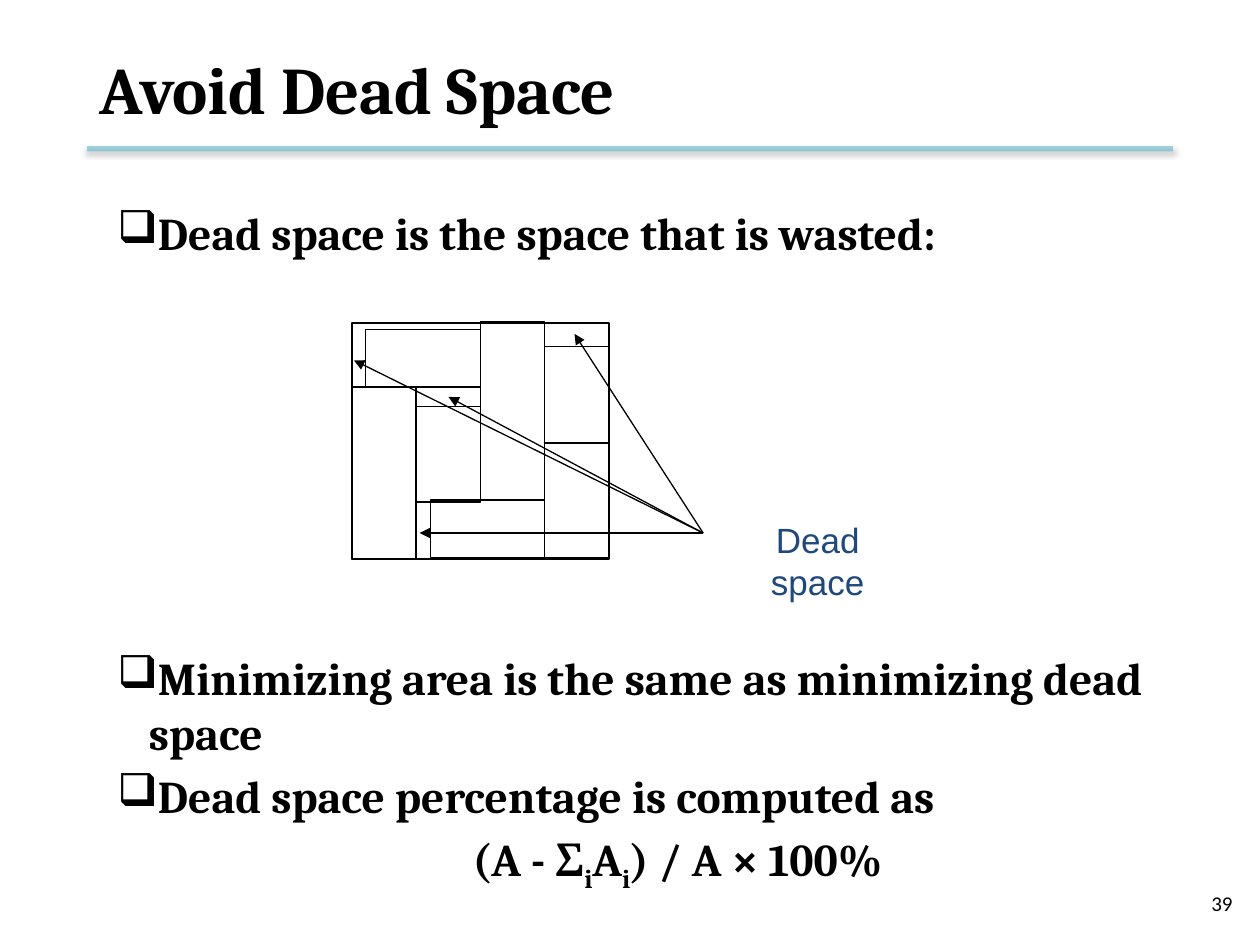
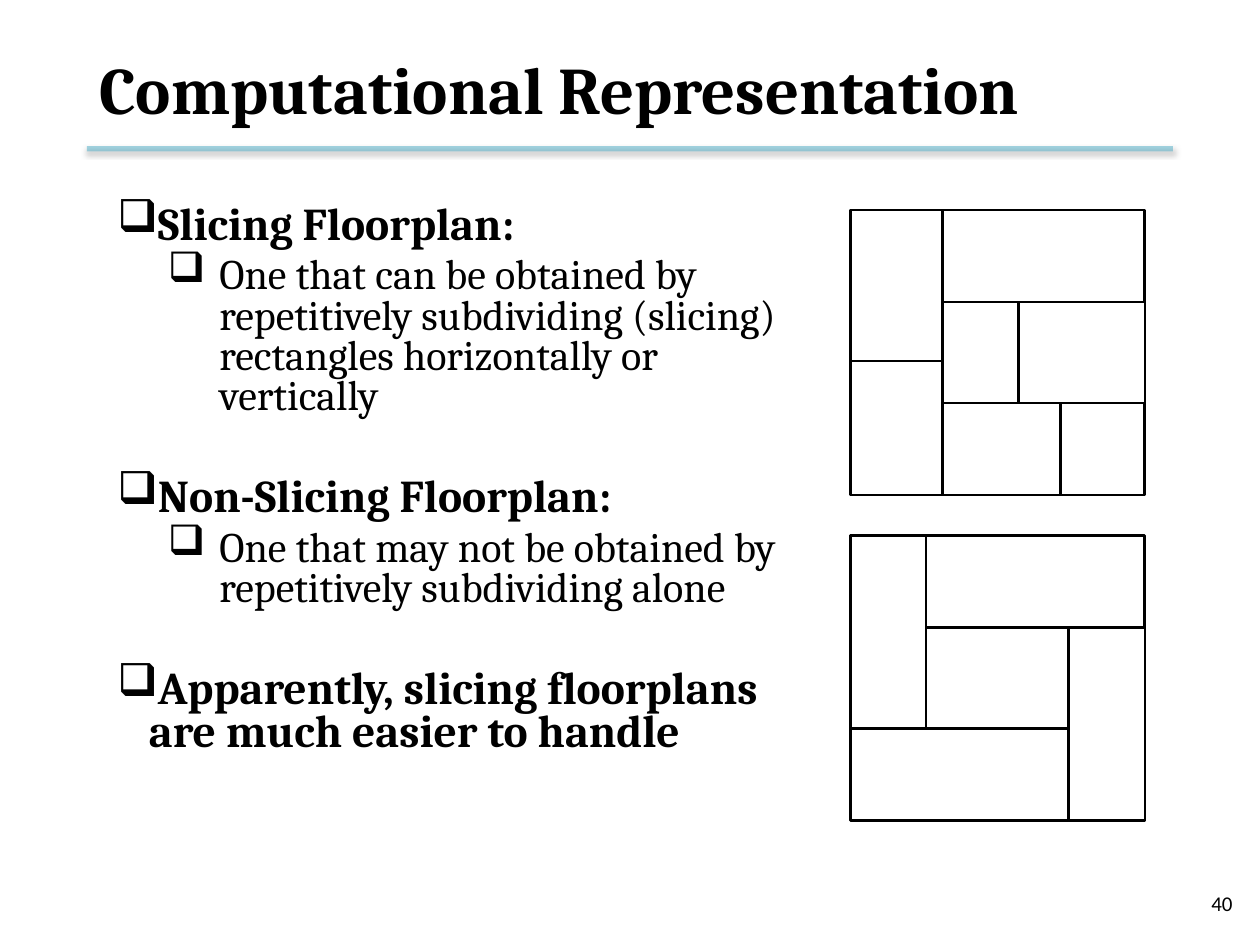
from dataclasses import dataclass
from lxml import etree
from pptx import Presentation
from pptx import util as u
from pptx.dml.color import RGBColor
from pptx.enum import shapes, text
from pptx.oxml.ns import qn

Pt = u.Pt
LEFT, MID, RIGHT = text.PP_ALIGN.LEFT, text.PP_ALIGN.CENTER, text.PP_ALIGN.RIGHT


@dataclass(frozen=True)
class Theme:
    ink: str = "000000"
    rule: str = "4BACC6"
    label: str = "1F497D"
    serif: str = "Cambria"
    sans: str = "Arial"
    number: str = "Calibri"
    title: float = 38
    head: float = 26
    sub: float = 24
    note: float = 20
    page: float = 12
    gap: float = 5


T = Theme()


def node(parent, tag, **attrs):
    """Append a drawing element with its attributes."""
    child = etree.SubElement(parent, qn("a:" + tag))
    for key, value in attrs.items():
        child.set(key, str(value))
    return child


# Text
def write(par, words, size=T.head, font=T.serif, color=T.ink, bold=False,
          align=LEFT, before=0, line=None, bullet=None, margin=0, hang=0):
    """Fill a paragraph; words is a string or a list of (string, is_sub)."""
    props = par._p.get_or_add_pPr()
    props.set("marL", str(Pt(margin)))
    props.set("indent", str(Pt(-hang)))
    par.alignment = align
    par.space_before = Pt(before)
    if line:
        par.line_spacing = line
    if bullet:
        node(props, "buChar", char=bullet)
    else:
        node(props, "buNone")
    parts = [(words, False)] if isinstance(words, str) else words
    for part, low in parts:
        run = par.add_run()
        run.text = part
        run.font.size, run.font.name, run.font.bold = Pt(size), font, bold
        run.font.color.rgb = RGBColor.from_string(color)
        if low:
            run.font._element.set("baseline", "-25000")


def box(slide, left, top, width, height, wrap=True, anchor=text.MSO_ANCHOR.TOP):
    frame = slide.shapes.add_textbox(Pt(left), Pt(top), Pt(width), Pt(height)).text_frame
    frame.word_wrap = wrap
    frame.vertical_anchor = anchor
    return frame


def head(words, **kw):
    return words, dict(bold=True, bullet="❑", margin=18, hang=32.4) | kw


def sub(words, **kw):
    return words, dict(size=T.sub, bullet="❑", margin=58.3, hang=29.5) | kw


def body(slide, width, items, line=None):
    frame = box(slide, 60, 113.8, width, 371, True)
    for i, (words, kw) in enumerate(items):
        par = frame.add_paragraph() if i else frame.paragraphs[0]
        before = kw.pop("before", T.gap) if i else 0
        write(par, words, before=before, line=line, **kw)


# Lines and blocks
def link(slide, start, end, color=T.ink, width=0.75, arrow=False):
    line = slide.shapes.add_connector(
        shapes.MSO_CONNECTOR.STRAIGHT, *(Pt(v) for v in (*start, *end)))
    line.line.color.rgb = RGBColor.from_string(color)
    line.line.width = Pt(width)
    if arrow:
        node(line.line._get_or_add_ln(), "tailEnd", type="triangle")
    return line, node(line._element.spPr, "effectLst")


def blocks(slide, edges, width):
    """Draw open rectangles given as left, top, right, bottom."""
    for left, top, right, bottom in edges:
        rect = slide.shapes.add_shape(shapes.MSO_SHAPE.RECTANGLE, Pt(left), Pt(top),
                                      Pt(right - left), Pt(bottom - top))
        rect.shadow.inherit = False
        rect.fill.background()
        rect.line.color.rgb = RGBColor.from_string(T.ink)
        rect.line.width = Pt(width)


# Shared slide frame
def rule(slide):
    line, effects = link(slide, (49.7, 85), (670.3, 85), T.rule, 3)
    tint = line._element.spPr.find(".//" + qn("a:srgbClr"))
    node(tint, "alpha", val=50000)
    shade = node(effects, "outerShdw", blurRad=Pt(3.1), dist=Pt(1.6),
                 dir=5400000, rotWithShape=0)
    node(node(shade, "srgbClr", val=T.ink), "alpha", val=38000)


def page(prs, title, number):
    slide = prs.slides.add_slide(prs.slide_layouts[5])
    rule(slide)
    name = slide.shapes.title
    name.left, name.top, name.width, name.height = Pt(49.7), Pt(12.2), Pt(620.6), Pt(76.3)
    frame = name.text_frame
    frame.auto_size = text.MSO_AUTO_SIZE.NONE
    frame.vertical_anchor = text.MSO_ANCHOR.MIDDLE
    write(frame.paragraphs[0], title, size=T.title, bold=True)
    foot = box(slide, 543.6, 501.8, 167.8, 28.8, anchor=text.MSO_ANCHOR.MIDDLE)
    write(foot.paragraphs[0], str(number), size=T.page, font=T.number, align=RIGHT)
    return slide


def dead(prs):
    slide = page(prs, "Avoid Dead Space", 39)
    formula = [("(A - Σ", False), ("i", True), ("A", False), ("i", True),
               (") / A × 100%", False)]
    body(slide, 636.5, [
        head("Dead space is the space that is wasted:"),
        head("Minimizing area is the same as minimizing dead space", before=223),
        head("Dead space percentage is computed as"),
        (formula, dict(bold=True, align=MID, margin=18)),
    ])

    # Packed blocks on four equal columns, inside their bounding box
    c = [201.1 + 36.75 * i for i in range(5)]
    top, base = 184.5, 319.5
    blocks(slide, [
        (c[3], 198, c[4], 253.2),
        (c[3], 253.2, c[4], 318.7),
        (246.2, 285.8, c[3], 318.7),
        (c[2], 183.6, c[3], 285.8),
        (c[1], 232.2, c[2], 286.9),
        (208.9, 188.3, c[2], 221.2),
        (c[0], 221.2, c[1], base),
        (c[0], top, c[4], base),
    ], 0.75)

    # Label and its arrows
    note = box(slide, 406.8, 293, 121, 31, wrap=False)
    write(note.paragraphs[0], "Dead space", size=T.note, font=T.sans,
          color=T.label, align=MID)
    for tip in [(328.3, 190.8), (256.3, 226.8), (202.3, 205.9), (239.8, 304.6)]:
        link(slide, (401.8, 304.6), tip, arrow=True)


def plans(prs):
    slide = page(prs, "Computational Representation", 40)
    body(slide, 408.2, [
        head("Slicing Floorplan:"),
        sub("One that can be obtained by repetitively subdividing (slicing) "
            "rectangles horizontally or vertically"),
        head("Non-Slicing Floorplan:", before=33.5),
        sub("One that may not be obtained by repetitively subdividing alone"),
        head("Apparently, slicing floorplans are much easier to handle", before=33.5),
    ], line=0.8)

    left, right = 486, 654.2
    # Non-slicing floorplan: a pinwheel around the centre block
    x1, x2 = 529.2, 610.7
    y0, y1, y2, y3 = 306, 358.6, 416.2, 468.8
    blocks(slide, [
        (left, y0, x1, y2),
        (x2, y1, right, y3),
        (left, y2, x2, y3),
        (x1, y1, x2, y2),
        (x1, y0, right, y1),
    ], 1.5)

    # Slicing floorplan: two columns, each cut into rows
    cut = 538.6
    y0, y1, y2, y3 = 120, 172.6, 230.4, 283
    blocks(slide, [
        (left, y0, cut, 206.4),
        (left, 206.4, cut, y3),
        (cut, y1, 582, y2),
        (cut, y0, right, y1),
        (582, y1, right, y2),
        (cut, y2, 606, y3),
        (606, y2, right, y3),
    ], 1.5)


def main():
    prs = Presentation()
    prs.slide_width, prs.slide_height = Pt(720), Pt(540)
    dead(prs)
    plans(prs)
    prs.save("out.pptx")


if __name__ == "__main__":
    main()
